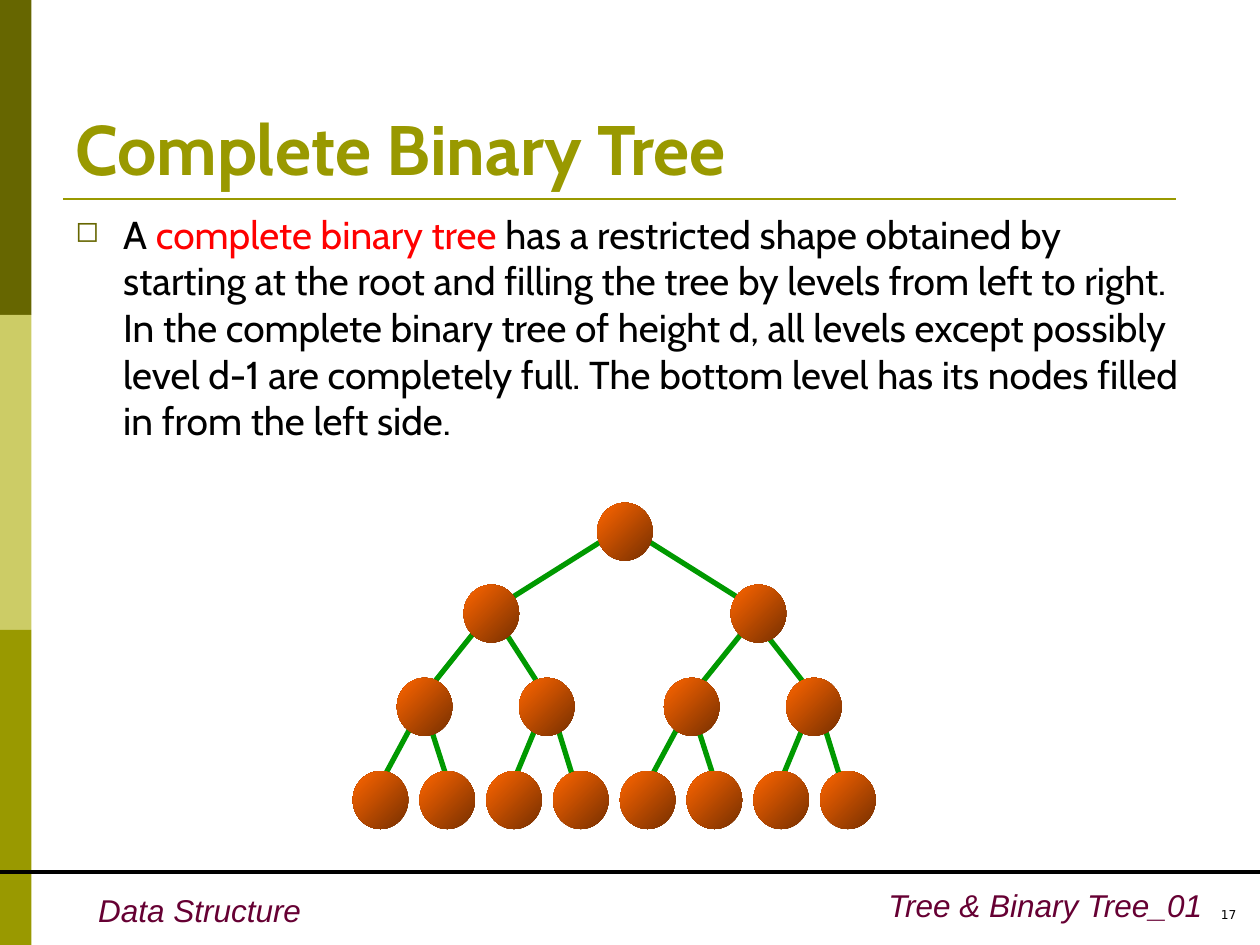
from lxml import etree
from pptx import Presentation
from pptx.dml.color import RGBColor
from pptx.enum.shapes import MSO_CONNECTOR, MSO_SHAPE
from pptx.enum.text import MSO_ANCHOR, PP_ALIGN
from pptx.oxml.ns import qn
from pptx.util import Inches, Pt

STRAIGHT = MSO_CONNECTOR.STRAIGHT
RECTANGLE, OVAL = MSO_SHAPE.RECTANGLE, MSO_SHAPE.OVAL
BOTTOM, RIGHT = MSO_ANCHOR.BOTTOM, PP_ALIGN.RIGHT

COLORS = {
    "dark olive": "666600", "light olive": "CCCC66", "olive": "999900",
    "plum": "660033", "black": "000000", "red": "FF0000",
    "edge": "009900", "node dark": "762F00", "node light": "FF6600",
}

TITLE_FORMAT = {"name": "Cabin", "size": Pt(40), "bold": True}
BODY_FORMAT = {"name": "Cabin", "size": Pt(22.2)}
FOOTER_FORMAT = {"name": "Arial", "size": Pt(18), "italic": True}
NUMBER_FORMAT = {"name": "DejaVu Sans", "size": Pt(7)}

BODY_RUNS = [
    ("A ", "black"),
    ("complete binary tree ", "red"),
    ("has a restricted shape obtained by starting at the root and filling the "
     "tree by levels from left to right. In the complete binary tree of height d, "
     "all levels except possibly level d-1 are completely full. The bottom level "
     "has its nodes filled in from the left side.", "black"),
]

# Tree geometry in inches, relative to the tree's top left corner
NODE_SIZE = (0.44, 0.46)
HALF_SHIFT = 2.12
ROOT = (1.94, 0)
HALF_NODES = [(0.53 * column, 2.13) for column in range(4)]
HALF_NODES += [(0.35, 1.39), (1.32, 1.39), (0.88, 0.65)]
HALF_EDGES = [
    (0.52, 1.67, 0.17, 2.32), (0.61, 1.76, 0.79, 2.32),
    (1.50, 1.67, 1.23, 2.32), (1.59, 1.67, 1.76, 2.22),
]
UPPER_EDGES = [
    (2.03, 0.27, 1.14, 0.83), (2.29, 0.27, 3.18, 0.83),
    (0.97, 1.02, 0.53, 1.57), (1.14, 0.92, 1.50, 1.48),
    (3.18, 0.92, 2.73, 1.48), (3.26, 1.02, 3.62, 1.48),
]


def color(name):
    return RGBColor.from_string(COLORS[name])


def add_line(shapes, start, end, color_name, weight):
    line = shapes.add_connector(
        STRAIGHT, *[Inches(value) for value in (*start, *end)])
    line.line.color.rgb = color(color_name)
    line.line.width = Pt(weight)
    etree.SubElement(line._element.spPr, qn("a:effectLst"))


def add_text(slide, box, runs, font_format, align=None, anchor=None, wrap=True):
    shape = slide.shapes.add_textbox(*[Inches(value) for value in box])
    frame = shape.text_frame
    frame.word_wrap = wrap
    if anchor is not None:
        frame.vertical_anchor = anchor
    paragraph = frame.paragraphs[0]
    paragraph.alignment = align
    for text, color_name in runs:
        run = paragraph.add_run()
        run.text = text
        run.font.color.rgb = color(color_name)
        for attribute, value in font_format.items():
            setattr(run.font, attribute, value)
    return paragraph


def add_sidebar(slide, left, top, width, height):
    bands = ["dark olive", "light olive", "olive"]
    band_height = height / len(bands)
    for index, name in enumerate(bands):
        band = slide.shapes.add_shape(
            RECTANGLE, Inches(left), Inches(top + index * band_height),
            Inches(width), Inches(band_height))
        band.shadow.inherit = False
        band.fill.solid()
        band.fill.fore_color.rgb = color(name)
        band.line.fill.background()


def add_heading(slide, left, top, width, height):
    rule_y = top + height + 0.03
    add_line(slide.shapes, (left, rule_y), (left + 8.83, rule_y), "olive", 1.5)
    add_text(slide, (left, top, width, height),
             [("Complete Binary Tree", "olive")], TITLE_FORMAT, anchor=BOTTOM)


def add_body(slide, left, top, width, height):
    paragraph = add_text(slide, (left, top, width, height), BODY_RUNS, BODY_FORMAT)
    # Hanging square bullet
    properties = paragraph._p.get_or_add_pPr()
    properties.set("marL", str(Inches(0.38)))
    properties.set("indent", str(-Inches(0.38)))
    bullet_color = etree.SubElement(properties, qn("a:buClr"))
    etree.SubElement(bullet_color, qn("a:srgbClr"), val=COLORS["dark olive"])
    etree.SubElement(properties, qn("a:buSzPct"), val="75000")
    etree.SubElement(properties, qn("a:buChar"), char="◻")


def add_node(shapes, left, top):
    width, height = NODE_SIZE
    node = shapes.add_shape(
        OVAL, Inches(left), Inches(top), Inches(width), Inches(height))
    node.shadow.inherit = False
    node.line.fill.background()
    node.fill.gradient()
    node.fill.gradient_angle = 135
    for stop, name in zip(node.fill.gradient_stops, ("node dark", "node light")):
        stop.color.rgb = color(name)


def add_tree(slide, left, top):
    shapes = slide.shapes.add_group_shape().shapes
    shifts = (0, HALF_SHIFT)
    # Edges lie behind the nodes
    edges = UPPER_EDGES + [(x1 + shift, y1, x2 + shift, y2)
                           for shift in shifts for x1, y1, x2, y2 in HALF_EDGES]
    for x1, y1, x2, y2 in edges:
        add_line(shapes, (left + x1, top + y1), (left + x2, top + y2), "edge", 3)
    nodes = [ROOT] + [(x + shift, y) for shift in shifts for x, y in HALF_NODES]
    for x, y in nodes:
        add_node(shapes, left + x, top + y)


def add_footer(slide, left, top, width):
    add_line(slide.shapes, (left, top), (left + width, top), "black", 2.25)
    add_text(slide, (left + 0.68, top + 0.1, 1.81, 0.4),
             [("Data Structure", "plum")], FOOTER_FORMAT, wrap=False)
    add_text(slide, (left + 6.57, top + 0.06, 3.07, 0.4),
             [("Tree & Binary Tree_01", "plum")], FOOTER_FORMAT, align=RIGHT)
    number = add_text(slide, (left + 9.33, top + 0.25, 0.58, 0.25),
                      [("17", "black")], NUMBER_FORMAT, align=RIGHT)
    number.line_spacing = 0.8


def main():
    presentation = Presentation()
    presentation.slide_width = Inches(10)
    presentation.slide_height = Inches(7.5)
    slide = presentation.slides.add_slide(presentation.slide_layouts[6])
    add_sidebar(slide, 0, 0, 0.25, 7.5)
    add_footer(slide, 0, 6.92, 10)
    add_heading(slide, 0.5, 0.3, 9, 1.25)
    add_body(slide, 0.5, 1.62, 9, 2.05)
    add_tree(slide, 2.8, 3.99)
    presentation.save("out.pptx")


if __name__ == "__main__":
    main()
